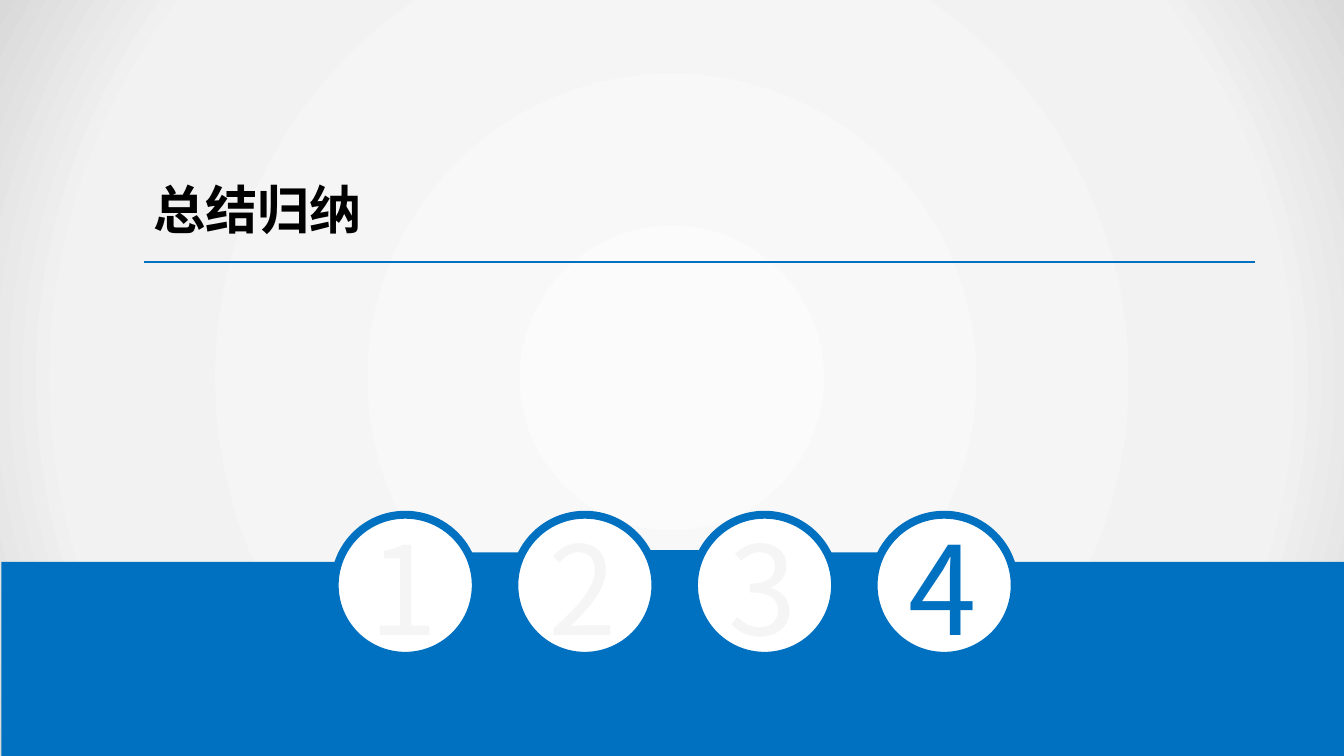
import math

import lxml.etree
import pptx
import pptx.dml.color
import pptx.enum.shapes
import pptx.enum.text
import pptx.oxml
import pptx.oxml.ns
import pptx.util

Inches = pptx.util.Inches
SHAPES = pptx.enum.shapes.MSO_SHAPE
FONT = "Noto Sans CJK SC"
BLUE = "0070C0"
PALE = "F5F5F5"
SLIDE_WIDTH = 10
SLIDE_HEIGHT = SLIDE_WIDTH * 9 / 16


def color(value):
    """Turn a hex string into a colour."""
    return pptx.dml.color.RGBColor.from_string(value)


def style(shape, fill, line=None, weight=1):
    """Set the fill and outline of a shape and drop its shadow."""
    shape.shadow.inherit = False
    shape.fill.solid()
    shape.fill.fore_color.rgb = color(fill)
    if line:
        shape.line.color.rgb = color(line)
        shape.line.width = pptx.util.Pt(weight)
    else:
        shape.line.fill.background()


def add_shape(slide, kind, box, fill, line=None, weight=1):
    """Add a styled preset shape in a box given in inches."""
    shape = slide.shapes.add_shape(kind, *map(Inches, box))
    style(shape, fill, line, weight)
    return shape


def add_text(slide, box, text, size, value, bold=False, wrap=True):
    """Add a one-run text box and return its frame."""
    frame = slide.shapes.add_textbox(*map(Inches, box)).text_frame
    frame.word_wrap = wrap
    run = frame.paragraphs[0].add_run()
    run.text = text
    run.font.size = pptx.util.Pt(size)
    run.font.bold = bold
    run.font.name = FONT
    run.font.color.rgb = color(value)
    east_asian = lxml.etree.SubElement(run.font._element, pptx.oxml.ns.qn("a:ea"))
    east_asian.set("typeface", FONT)
    return frame


def add_backdrop(slide, box):
    """Cover the box with a grey gradient that spreads from its centre."""
    slide.background.fill.solid()
    slide.background.fill.fore_color.rgb = color("F2F2F2")
    shape = add_shape(slide, SHAPES.RECTANGLE, box, "F2F2F2")
    stops = "".join(
        f'<a:gs pos="{position * 1000}"><a:srgbClr val="{value}"/></a:gs>'
        for position, value in ((0, "FBFBFB"), (79, "F2F2F2"), (100, "D9D9D9"))
    )
    gradient = pptx.oxml.parse_xml(
        f'<a:gradFill {pptx.oxml.ns.nsdecls("a")} rotWithShape="1"><a:gsLst>{stops}</a:gsLst>'
        '<a:path path="circle"><a:fillToRect l="50000" t="50000" r="50000" b="50000"/>'
        "</a:path></a:gradFill>"
    )
    properties = shape._element.spPr
    solid = properties.find(pptx.oxml.ns.qn("a:solidFill"))
    properties.replace(solid, gradient)


def add_title(slide, box, text):
    """Place the section title above a rule along the bottom of the box."""
    left, top, width, height = box
    frame = add_text(slide, (left, top, 4.24, height), text, 28, "000000", bold=True)
    frame.vertical_anchor = pptx.enum.text.MSO_ANCHOR.MIDDLE
    frame.margin_left = frame.margin_right = Inches(0.07)
    frame.margin_top = frame.margin_bottom = Inches(0.04)
    bottom = top + height
    rule = slide.shapes.add_connector(
        pptx.enum.shapes.MSO_CONNECTOR.STRAIGHT,
        *map(Inches, (left, bottom, left + width, bottom)),
    )
    rule.line.color.rgb = color(BLUE)
    rule.line.width = pptx.util.Pt(1.25)
    lxml.etree.SubElement(rule._element.spPr, pptx.oxml.ns.qn("a:effectLst"))


def add_band(slide, box, centers, radius):
    """Draw the blue band with round notches, each bridged by a block."""
    left, top, width, height = box
    for index, center in enumerate(centers):
        outline = (BLUE, 2) if index == 1 else ()
        block = (center - 0.22, top - 0.07, 0.47, 0.4)
        add_shape(slide, SHAPES.RECTANGLE, block, BLUE, *outline)
    points = []
    for center in centers:
        for step in range(13):
            angle = math.pi * step / 12
            points.append((center - radius * math.cos(angle), top + radius * math.sin(angle)))
    right, bottom = left + width, top + height
    points += [(right, top), (right, bottom), (left, bottom)]
    builder = slide.shapes.build_freeform(Inches(left), Inches(top))
    builder.add_line_segments([(Inches(x), Inches(y)) for x, y in points], close=True)
    style(builder.convert_to_shape(), BLUE)


def add_steps(slide, box, labels, active):
    """Spread numbered circles evenly over the box and highlight one."""
    left, top, width, size = box
    pitch = (width - size) / (len(labels) - 1)
    for index, label in enumerate(labels):
        x = left + index * pitch
        add_shape(slide, SHAPES.OVAL, (x, top, size, size), "FFFFFF", BLUE, 4.25)
        value = BLUE if label == active else PALE
        add_text(slide, (x + 0.16, top - 0.07, 0.7, 1.21), label, 66, value, wrap=False)


def main():
    """Build the section slide and save it."""
    presentation = pptx.Presentation()
    presentation.slide_width = Inches(SLIDE_WIDTH)
    presentation.slide_height = Inches(SLIDE_HEIGHT)
    slide = presentation.slides.add_slide(presentation.slide_layouts[6])
    add_backdrop(slide, (0, 0, SLIDE_WIDTH, SLIDE_HEIGHT))
    add_band(slide, (0.01, 4.18, 10, 1.45), (3.68, 5.02, 6.36), 0.16)
    add_steps(slide, (2.49, 3.83, 5.06, 1.05), "1234", "4")
    add_title(slide, (1.07, 1.16, 8.27, 0.79), "总结归纳")
    presentation.save("out.pptx")


if __name__ == "__main__":
    main()
